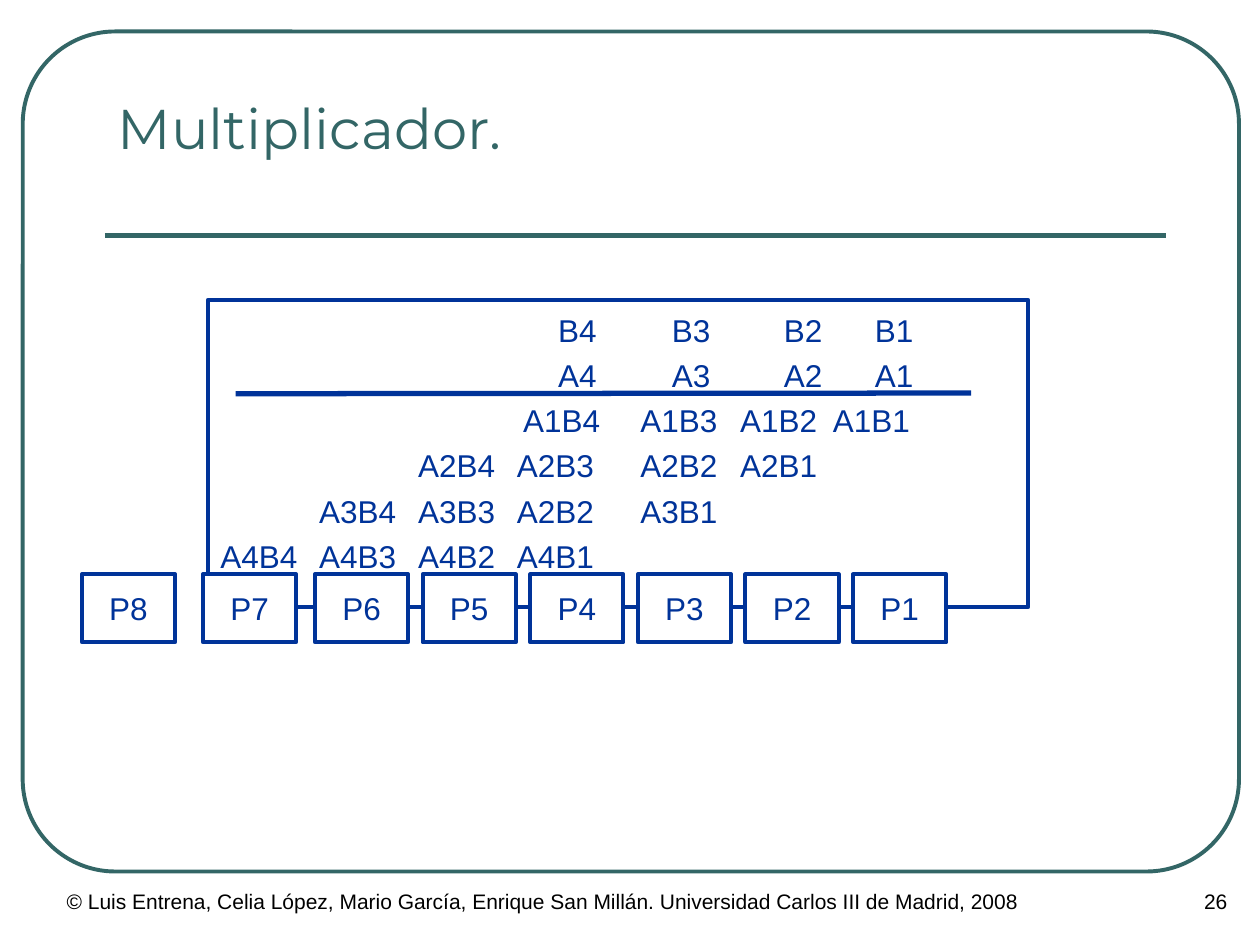
"""Build the slide showing a 4-bit by 4-bit multiplication and its product bits."""
from lxml import etree
from pptx import Presentation
from pptx.dml.color import RGBColor
from pptx.enum.shapes import MSO_CONNECTOR, MSO_SHAPE
from pptx.enum.text import MSO_ANCHOR, PP_ALIGN
from pptx.oxml.ns import qn
from pptx.util import Pt

RECT, ROUNDED = MSO_SHAPE.RECTANGLE, MSO_SHAPE.ROUNDED_RECTANGLE
TOP, MIDDLE, BOTTOM = MSO_ANCHOR.TOP, MSO_ANCHOR.MIDDLE, MSO_ANCHOR.BOTTOM
LEFT, CENTER, RIGHT = PP_ALIGN.LEFT, PP_ALIGN.CENTER, PP_ALIGN.RIGHT

TITLE = "Multiplicador."
CREDIT = ("© Luis Entrena, Celia López, Mario García, Enrique San Millán. "
          "Universidad Carlos III de Madrid, 2008")
PAGE = "26"
OPERAND_STOPS = (193, 258, 322, 374)
FIRST_STOPS = (173, 240, 297, 350)
PRODUCT_STOPS = (56.5, 113, 169.5, 240, 297)
OPERATION = [
    (OPERAND_STOPS, ("", "B4", "B3", "B2", "B1")),
    (OPERAND_STOPS, ("", "A4", "A3", "A2", "A1")),
    (FIRST_STOPS, ("", "A1B4", "A1B3", "A1B2", "A1B1")),
    (PRODUCT_STOPS, ("", "", "A2B4", "A2B3", "A2B2", "A2B1")),
    (PRODUCT_STOPS, ("", "A3B4", "A3B3", "A2B2", "A3B1")),
    (PRODUCT_STOPS, ("A4B4", "A4B3", "A4B2", "A4B1")),
]
BIT_PITCH = 61.5
BIT_LEFTS = [487.5 - BIT_PITCH * i for i in range(6)] + [116, 46.8]

THEME = {
    "green": RGBColor(0x33, 0x66, 0x66),
    "blue": RGBColor(0x00, 0x33, 0x99),
    "black": RGBColor(0, 0, 0),
    "white": RGBColor(0xFF, 0xFF, 0xFF),
    "title": {"name": "Montserrat", "size": Pt(32)},
    "body": {"name": "Arial", "size": Pt(18)},
    "footer": {"name": "Arial", "size": Pt(12)},
    "outline": 2.25,
    "rule": 3,
}


def apply(target, **values):
    for key, value in values.items():
        setattr(target, key, value)


def place(box):
    return [Pt(value) for value in box]


def format_frame(frame, anchor, top=3.6, bottom=3.6, wrap=True):
    apply(frame, word_wrap=wrap, vertical_anchor=anchor, margin_left=Pt(7.2),
          margin_right=Pt(7.2), margin_top=Pt(top), margin_bottom=Pt(bottom))


def write(paragraph, text, style, color, align=LEFT):
    paragraph.alignment = align
    run = paragraph.add_run()
    run.text = text
    apply(run.font, **THEME[style])
    run.font.color.rgb = THEME[color]


def add_box(slide, preset, box, color, filled=True):
    shape = slide.shapes.add_shape(preset, *place(box))
    shape.shadow.inherit = False
    if filled:
        shape.fill.solid()
        shape.fill.fore_color.rgb = THEME["white"]
    else:
        shape.fill.background()
    shape.line.color.rgb = THEME[color]
    shape.line.width = Pt(THEME["outline"])
    return shape


def add_rule(slide, ends, color):
    rule = slide.shapes.add_connector(MSO_CONNECTOR.STRAIGHT, *place(ends))
    rule.line.color.rgb = THEME[color]
    rule.line.width = Pt(THEME["rule"])
    etree.SubElement(rule.element.spPr, qn("a:effectLst"))


def add_footer(slide, box, text, align):
    frame = slide.shapes.add_textbox(*place(box)).text_frame
    format_frame(frame, TOP)
    write(frame.paragraphs[0], text, "footer", "black", align)


def add_operation(slide):
    frame = add_box(slide, RECT, (118.8, 171.4, 468.7, 175.7), "blue").text_frame
    format_frame(frame, TOP, top=3)
    for index, (stops, cells) in enumerate(OPERATION):
        paragraph = frame.add_paragraph() if index else frame.paragraphs[0]
        paragraph.line_spacing = 1.15
        if index:
            paragraph.space_before = Pt(1)
        tabs = etree.SubElement(paragraph._p.get_or_add_pPr(), qn("a:tabLst"))
        for stop in stops:
            etree.SubElement(tabs, qn("a:tab"), pos=str(int(Pt(stop))), algn="l")
        write(paragraph, "\t".join(cells), "body", "blue")


def main():
    deck = Presentation()
    apply(deck, slide_width=Pt(720), slide_height=Pt(540))
    slide = deck.slides.add_slide(deck.slide_layouts[5])

    border = add_box(slide, ROUNDED, (13, 18, 695, 480), "green", filled=False)
    border.adjustments[0] = 0.11
    add_rule(slide, (60, 134.6, 666, 134.6), "green")
    add_footer(slide, (31, 504, 612, 36), CREDIT, LEFT)
    add_footer(slide, (643.7, 504, 64.8, 36), PAGE, RIGHT)

    title = slide.shapes.title
    left, top, width, height = place((60, 41.8, 606, 90))
    apply(title, left=left, top=top, width=width, height=height)
    format_frame(title.text_frame, BOTTOM, bottom=40)
    write(title.text_frame.paragraphs[0], TITLE, "title", "green")

    add_operation(slide)
    add_rule(slide, (134.6, 225, 555, 224.6), "blue")
    for number, bit_left in enumerate(BIT_LEFTS, 1):
        bit = add_box(slide, RECT, (bit_left, 328.2, 53.3, 38.9), "blue")
        format_frame(bit.text_frame, MIDDLE, wrap=False)
        write(bit.text_frame.paragraphs[0], f"P{number}", "body", "blue", CENTER)
    deck.save("out.pptx")


if __name__ == "__main__":
    main()
